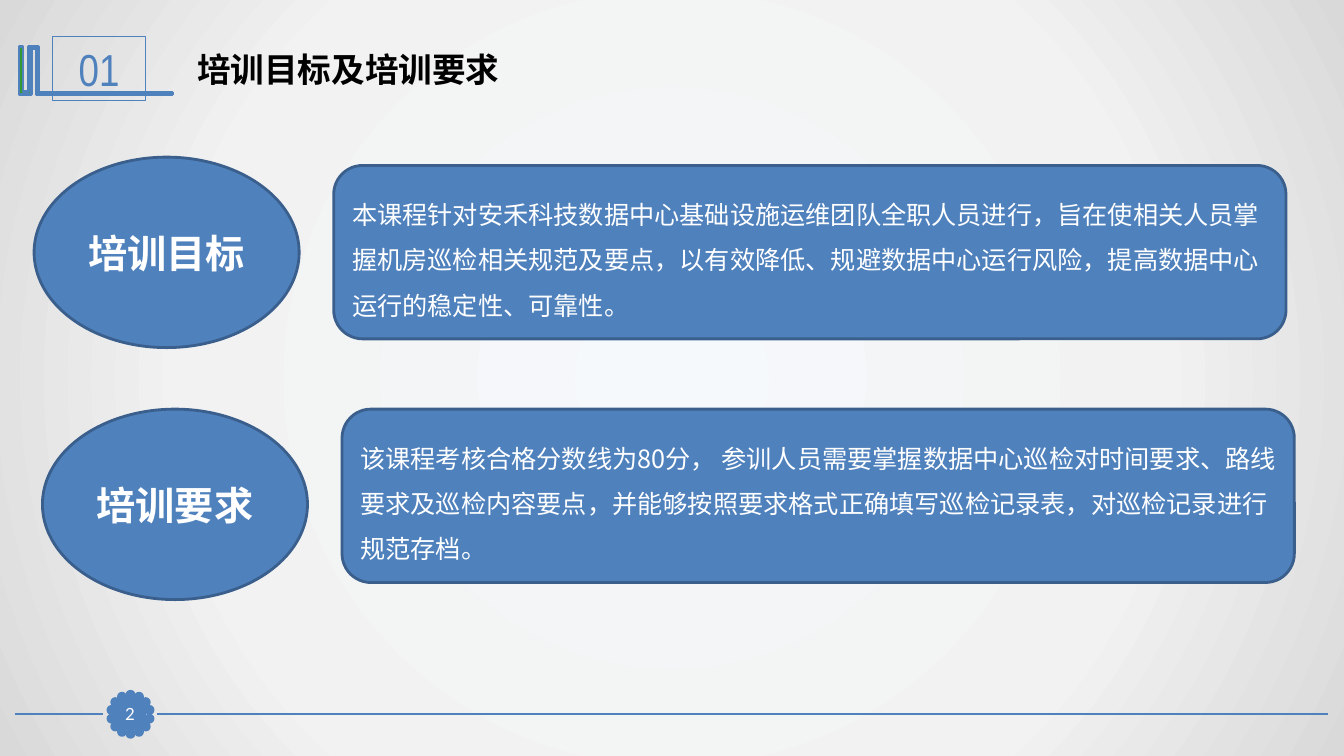
import math
from dataclasses import dataclass

from pptx import Presentation
from pptx import util as u
from pptx.dml.color import RGBColor
from pptx.enum import shapes, text
from pptx.oxml import parse_xml
from pptx.oxml.ns import nsdecls, qn
from lxml import etree


@dataclass(frozen=True)
class Theme:
    blue: str = "4F81BD"
    edge: str = "3A5F8C"
    green: str = "339933"
    white: str = "FFFFFF"
    black: str = "000000"
    backdrop: tuple = ((0, "F6F9FC"), (63, "F2F2F2"), (100, "D9D9D9"))
    latin: str = "Lato"
    narrow: str = "Arial Narrow"
    chinese: str = "Noto Sans CJK SC"
    section_size: int = 32
    label_size: int = 28
    title_size: int = 24
    body_size: int = 18
    page_size: int = 12


def write_text(box, content, size, color, font, bold=False, centered=False,
               spacing=None, anchor=text.MSO_ANCHOR.MIDDLE, inset=None):
    frame = box.text_frame
    frame.word_wrap = True
    frame.vertical_anchor = anchor
    if inset is not None:
        frame.margin_left = frame.margin_right = u.Cm(inset)
        frame.margin_top = frame.margin_bottom = u.Cm(inset)
    para = frame.paragraphs[0]
    para.alignment = text.PP_ALIGN.CENTER if centered else text.PP_ALIGN.LEFT
    if spacing:
        para.line_spacing = spacing
    span = para.add_run()
    span.text = content
    span.font.size = u.Pt(size)
    span.font.bold = bold
    span.font.name = font
    span.font.color.rgb = RGBColor.from_string(color)
    properties = span.font._element
    etree.SubElement(properties, qn("a:ea")).set("typeface", Theme.chinese)


class SlideBuilder:
    def __init__(self, page, theme):
        self.page = page
        self.theme = theme

    def background(self):
        stops = "".join(
            f'<a:gs pos="{position * 1000}"><a:srgbClr val="{color}"/></a:gs>'
            for position, color in self.theme.backdrop)
        center = '<a:fillToRect l="50000" t="50000" r="50000" b="50000"/>'
        fill = parse_xml(
            f'<a:gradFill {nsdecls("a")} rotWithShape="1"><a:gsLst>{stops}</a:gsLst>'
            f'<a:path path="circle">{center}</a:path></a:gradFill>')
        self.page.background.fill.solid()
        solid = next(self.page.element.iter(qn("a:solidFill")))
        solid.getparent().replace(solid, fill)

    def paint(self, box, fill, line, width):
        box.shadow.inherit = False
        if fill:
            box.fill.solid()
            box.fill.fore_color.rgb = RGBColor.from_string(fill)
        else:
            box.fill.background()
        box.line.color.rgb = RGBColor.from_string(line)
        box.line.width = u.Pt(width)
        return box

    def shape(self, kind, left, top, width, height, fill=None, line=Theme.blue, weight=2):
        box = self.page.shapes.add_shape(
            kind, u.Cm(left), u.Cm(top), u.Cm(width), u.Cm(height))
        return self.paint(box, fill, line, weight)

    def outline(self, points, fill, line, weight=2):
        corners = [(u.Cm(x), u.Cm(y)) for x, y in points]
        builder = self.page.shapes.build_freeform(*corners[0])
        builder.add_line_segments(corners[1:], close=True)
        return self.paint(builder.convert_to_shape(), fill, line, weight)

    def rule(self, start, end, height):
        line = self.page.shapes.add_connector(
            shapes.MSO_CONNECTOR.STRAIGHT, u.Cm(start), u.Cm(height), u.Cm(end), u.Cm(height))
        line.line.color.rgb = RGBColor.from_string(self.theme.blue)
        line.line.width = u.Pt(1.25)
        etree.SubElement(line._element.spPr, qn("a:effectLst"))

    def rosette(self, x, y, radius, petal, count):
        for index in range(count):
            angle = 2 * math.pi * index / count
            self.shape(shapes.MSO_SHAPE.OVAL,
                       x + radius * math.sin(angle) - petal / 2,
                       y - radius * math.cos(angle) - petal / 2,
                       petal, petal, fill=self.theme.blue)

    def title(self, content):
        box = self.page.shapes.add_textbox(u.Cm(4.72), u.Cm(1.12), u.Cm(24.61), u.Cm(1.3))
        write_text(box, content, self.theme.title_size, self.theme.black, self.theme.latin,
                   bold=True, anchor=text.MSO_ANCHOR.TOP)

    def topic(self, label, body, left, label_top, body_top):
        theme = self.theme
        oval = self.shape(shapes.MSO_SHAPE.OVAL, left, label_top, 6.68, 4.8,
                          fill=theme.blue, line=theme.edge)
        write_text(oval, label, theme.label_size, theme.white, theme.latin,
                   bold=True, centered=True)
        panel = self.shape(shapes.MSO_SHAPE.ROUNDED_RECTANGLE, left + 7.55, body_top, 24, 4.37,
                           fill=theme.blue, line=theme.edge)
        write_text(panel, body, theme.body_size, theme.white, theme.chinese, spacing=1.5)


BOOKMARK = [
    (0.94, 1.17), (0.97, 1.17), (0.97, 2.34), (4.34, 2.34), (4.34, 2.39), (0.91, 2.39),
    (0.91, 1.22), (0.79, 1.22), (0.79, 2.39), (0.48, 2.39), (0.48, 1.17), (0.58, 1.17),
    (0.58, 2.31), (0.71, 2.31), (0.71, 1.17),
]
TOPICS = [
    ("培训目标",
     "本课程针对安禾科技数据中心基础设施运维团队全职人员进行，旨在使相关人员掌握机房巡检相关规范及要点，"
     "以有效降低、规避数据中心运行风险，提高数据中心运行的稳定性、可靠性。",
     0.86, 3.96, 4.17),
    ("培训要求",
     "该课程考核合格分数线为80分， 参训人员需要掌握数据中心巡检对时间要求、路线要求及巡检内容要点，"
     "并能够按照要求格式正确填写巡检记录表，对巡检记录进行规范存档。",
     1.07, 10.31, 10.31),
]


def main():
    deck = Presentation()
    deck.slide_width, deck.slide_height = u.Cm(33.87), u.Cm(19.05)
    theme = Theme()
    slide = SlideBuilder(deck.slides.add_slide(deck.slide_layouts[6]), theme)
    slide.background()

    slide.rule(33.48, 3.96, 18)
    slide.rule(2.59, 0.38, 18)
    slide.rosette(3.29, 18, radius=0.49, petal=0.18, count=14)

    slide.outline(BOOKMARK, theme.green, theme.blue)
    section = slide.shape(shapes.MSO_SHAPE.RECTANGLE, 1.32, 0.91, 2.36, 1.63, weight=0.75)
    write_text(section, "01", theme.section_size, theme.blue, theme.narrow, centered=True)
    slide.title("培训目标及培训要求")

    number = slide.shape(shapes.MSO_SHAPE.RECTANGLE, 2.87, 17.6, 0.81, 0.79,
                         fill=theme.blue, weight=0.75)
    write_text(number, "2", theme.page_size, theme.white, theme.latin, centered=True, inset=0)

    for topic in TOPICS:
        slide.topic(*topic)
    deck.save("out.pptx")


if __name__ == "__main__":
    main()
